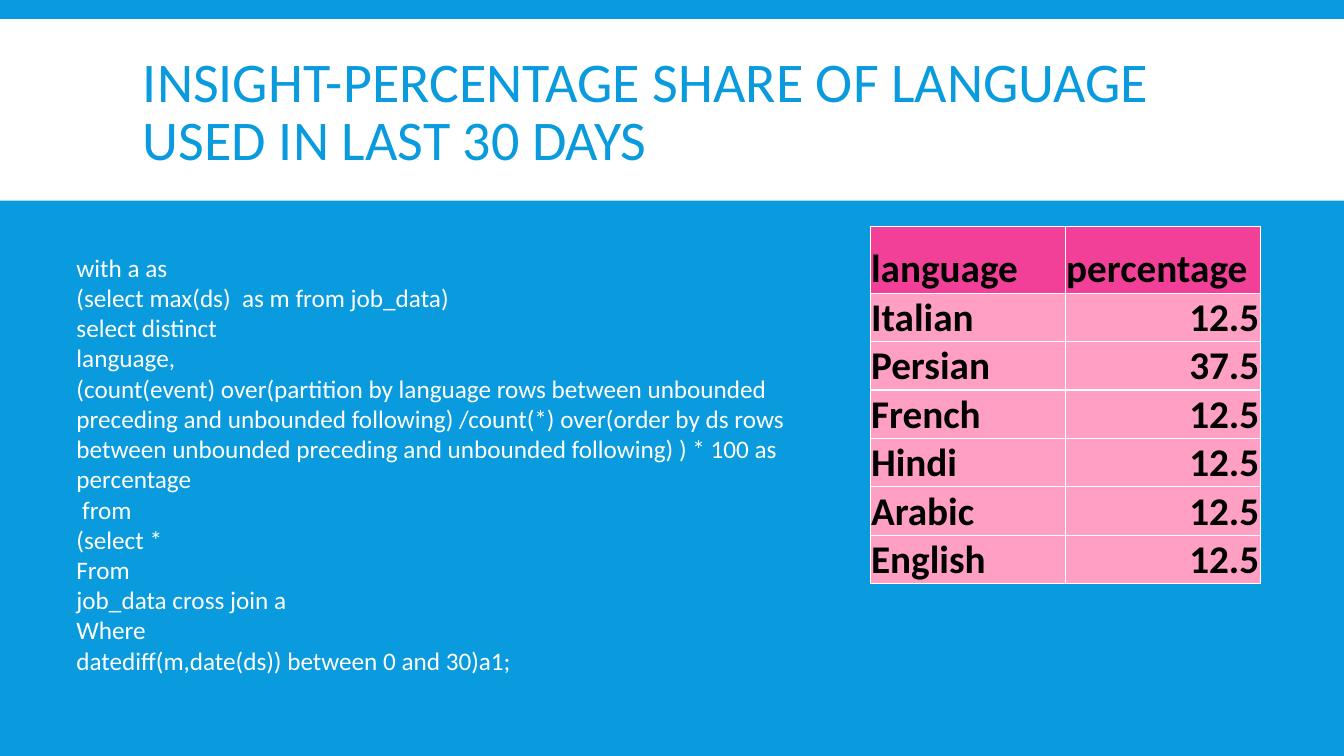
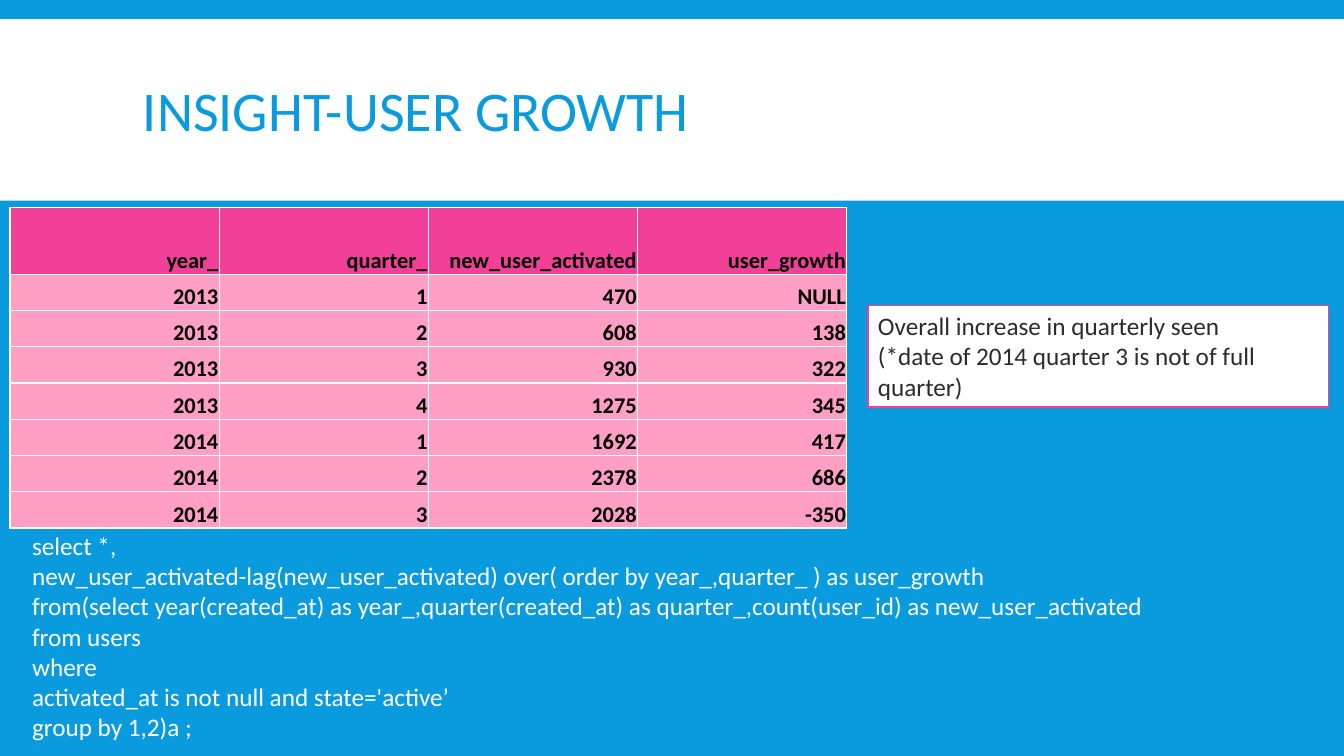
from lxml import etree
from pptx import Presentation
from pptx.dml.color import RGBColor
from pptx.enum import shapes, text
from pptx.oxml import ns
from pptx.util import Inches, Pt

FONT = "Calibri"
COLORS = {
    "blue": "099BDD",
    "white": "FFFFFF",
    "pink": "F24099",
    "light_pink": "FF9FC4",
    "black": "000000",
    "ink": "2C2C2C",
}
BORDERS = ("a:lnL", "a:lnR", "a:lnT", "a:lnB")

SLIDES = [
    {
        "title": "INSIGHT-PERCENTAGE SHARE OF LANGUAGE USED IN LAST 30 DAYS",
        "table": {
            "place": (8.63, 2.25),
            "column_width": 1.935,
            "row_height": 0.48,
            "size": 28,
            "left_aligned": True,
            "rows": [
                ("language", "percentage"),
                ("Italian", "12.5"),
                ("Persian", "37.5"),
                ("French", "12.5"),
                ("Hindi", "12.5"),
                ("Arabic", "12.5"),
                ("English", "12.5"),
            ],
        },
        "query": {
            "place": (0.66, 2.45, 7.42, 4.34),
            "lines": [
                "with a as",
                "(select max(ds)  as m from job_data)",
                "select distinct",
                "language,",
                "(count(event) over(partition by language rows between unbounded "
                "preceding and unbounded following) /count(*) over(order by ds rows "
                "between unbounded preceding and unbounded following) ) * 100 as "
                "percentage",
                " from",
                "(select *",
                "From",
                "job_data cross join a",
                "Where",
                "datediff(m,date(ds)) between 0 and 30)a1;",
            ],
        },
    },
    {
        "title": "INSIGHT-USER GROWTH",
        "table": {
            "place": (0.1, 2.06),
            "column_width": 2.075,
            "row_height": 0.36,
            "size": 16,
            "left_aligned": False,
            "rows": [
                ("year_", "quarter_", "new_user_activated", "user_growth"),
                ("2013", "1", "470", "NULL"),
                ("2013", "2", "608", "138"),
                ("2013", "3", "930", "322"),
                ("2013", "4", "1275", "345"),
                ("2014", "1", "1692", "417"),
                ("2014", "2", "2378", "686"),
                ("2014", "3", "2028", "-350"),
            ],
        },
        "note": {
            "place": (8.61, 3.03, 4.57, 1.01),
            "lines": [
                "Overall increase in quarterly seen",
                "(*date of 2014 quarter 3 is not of full quarter)",
            ],
        },
        "query": {
            "place": (0.22, 5.21, 12.9, 2.22),
            "lines": [
                "select *,",
                "new_user_activated-lag(new_user_activated) over( order by "
                "year_,quarter_ ) as user_growth",
                "from(select year(created_at) as year_,quarter(created_at) as "
                "quarter_,count(user_id) as new_user_activated",
                "from users",
                "where",
                "activated_at is not null and state='active’",
                "group by 1,2)a ;",
            ],
        },
    },
]


def rgb(name):
    return RGBColor.from_string(COLORS[name])


def paint(target, name):
    target.fill.solid()
    target.fill.fore_color.rgb = rgb(name)


def write(frame, lines, size, color, bold=False, align=text.PP_ALIGN.LEFT, spacing=None):
    frame.word_wrap = True
    for index, line in enumerate(lines):
        para = frame.paragraphs[0] if index == 0 else frame.add_paragraph()
        para.alignment = align
        para.line_spacing = spacing
        span = para.add_run()
        span.text = line
        span.font.name = FONT
        span.font.size = Pt(size)
        span.font.bold = bold
        span.font.color.rgb = rgb(color)


def add_rectangle(page, place, fill, line=None):
    box = page.shapes.add_shape(shapes.MSO_SHAPE.RECTANGLE, *map(Inches, place))
    box.shadow.inherit = False
    paint(box, fill)
    if line:
        box.line.color.rgb = rgb(line)
        box.line.width = Pt(1)
    else:
        box.line.fill.background()
    return box


def add_text(page, place, lines, size, color, anchor=text.MSO_ANCHOR.TOP, spacing=None):
    box = page.shapes.add_textbox(*map(Inches, place))
    box.text_frame.vertical_anchor = anchor
    write(box.text_frame, lines, size, color, spacing=spacing)


def add_borders(cell):
    properties = cell._tc.get_or_add_tcPr()
    for index, tag in enumerate(BORDERS):
        border = etree.Element(ns.qn(tag), w=str(Pt(1)))
        fill = etree.SubElement(border, ns.qn("a:solidFill"))
        etree.SubElement(fill, ns.qn("a:srgbClr"), val=COLORS["white"])
        properties.insert(index, border)


def add_table(page, place, column_width, row_height, size, left_aligned, rows):
    heights = [0.66] + [row_height] * (len(rows) - 1)
    width = column_width * len(rows[0])
    table = page.shapes.add_table(
        len(rows), len(rows[0]), *map(Inches, (*place, width, sum(heights)))
    ).table
    for column in table.columns:
        column.width = Inches(column_width)
    for row_index, values in enumerate(rows):
        table.rows[row_index].height = Inches(heights[row_index])
        for column_index, value in enumerate(values):
            cell = table.cell(row_index, column_index)
            cell.margin_left = cell.margin_right = cell.margin_top = Inches(0.01)
            cell.margin_bottom = 0
            cell.vertical_anchor = text.MSO_ANCHOR.BOTTOM
            is_left = left_aligned and (row_index == 0 or column_index == 0)
            align = text.PP_ALIGN.LEFT if is_left else text.PP_ALIGN.RIGHT
            write(cell.text_frame, [value], size, "black", True, align)
            paint(cell, "pink" if row_index == 0 else "light_pink")
            add_borders(cell)


def add_page(deck, title):
    page = deck.slides.add_slide(deck.slide_layouts[6])
    paint(page.background, "blue")
    add_rectangle(page, (0, 0.19, 13.33, 1.8), "white")
    add_text(page, (1.32, 0.31, 10.7, 1.65), [title], 40, "blue",
             text.MSO_ANCHOR.MIDDLE, 0.85)
    return page


def main():
    deck = Presentation()
    deck.slide_width = Inches(13.33)
    deck.slide_height = Inches(7.5)
    for content in SLIDES:
        page = add_page(deck, content["title"])
        add_table(page, **content["table"])
        if "note" in content:
            note = content["note"]
            box = add_rectangle(page, note["place"], "white", "pink")
            box.text_frame.vertical_anchor = text.MSO_ANCHOR.TOP
            write(box.text_frame, note["lines"], 18, "ink")
        add_text(page, content["query"]["place"], content["query"]["lines"], 18, "white")
    deck.save("out.pptx")


if __name__ == "__main__":
    main()
